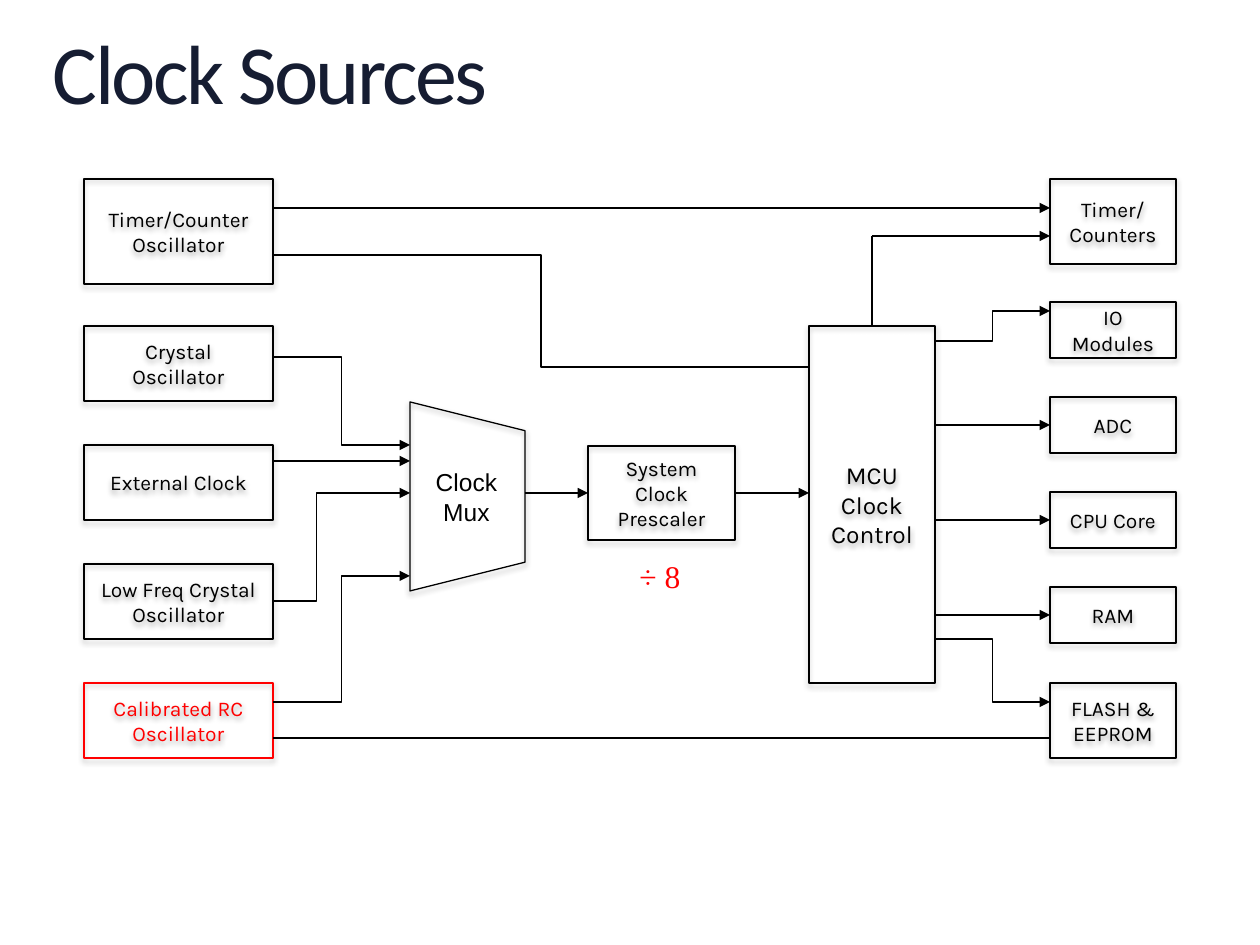
from lxml import etree
from pptx import Presentation
from pptx.dml.color import RGBColor
from pptx.enum.shapes import MSO_CONNECTOR as LINK, MSO_SHAPE as SHAPE
from pptx.enum.text import MSO_ANCHOR as ANCHOR, PP_ALIGN as ALIGN
from pptx.oxml.ns import qn
from pptx.util import Inches, Pt

PX = 7257  # EMU per pixel, 126 pixels to the inch
BLACK, RED, NAVY = "000000", "FF0000", "161D32"


def write(frame, text, size=12, font="Karla", color=BLACK, align=ALIGN.CENTER,
          anchor=ANCHOR.MIDDLE, wrap=True):
    frame.word_wrap = wrap
    frame.vertical_anchor = anchor
    for i, line in enumerate(text.split("\n")):
        para = frame.add_paragraph() if i else frame.paragraphs[0]
        para.alignment = align
        span = para.add_run()
        span.text = line
        span.font.size = Pt(size)
        span.font.name = font
        span.font.color.rgb = RGBColor.from_string(color)


def connect(x1, y1, x2, y2, arrow=True, bend=None, begin=None, end=None):
    """Draw a straight line, or an elbow when bend (percent of width) is given."""
    kind = LINK.STRAIGHT if bend is None else LINK.ELBOW
    wire = page.shapes.add_connector(kind, x1 * PX, y1 * PX, x2 * PX, y2 * PX)
    if begin:
        wire.begin_connect(*begin)
    if end:
        wire.end_connect(*end)
    wire.line.color.rgb = RGBColor.from_string(BLACK)
    wire.line.width = Pt(0.75)
    props = wire._element.spPr
    if arrow:
        etree.SubElement(props.find(qn("a:ln")), qn("a:tailEnd"), type="triangle")
    if bend is not None:
        guides = props.find(qn("a:prstGeom")).get_or_add_avLst()
        etree.SubElement(guides, qn("a:gd"), name="adj1", fmla=f"val {bend * 1000}")
    etree.SubElement(props, qn("a:effectLst"))


deck = Presentation()
deck.slide_width, deck.slide_height = Inches(10), Inches(7.5)
page = deck.slides.add_slide(deck.slide_layouts[5])

# Title
title = page.shapes.title
title.left, title.top, title.width, title.height = 53 * PX, 31 * PX, 1155 * PX, 92 * PX
frame = title.text_frame
frame.margin_left = frame.margin_right = frame.margin_top = frame.margin_bottom = 0
write(frame, "Clock Sources", size=48, font="Calibri", color=NAVY, align=ALIGN.LEFT)
heading = frame.paragraphs[0]
heading.line_spacing = 0.9
heading.runs[0].font._element.set("spc", "-150")

# Blocks: text, left, top, width, height, text size, colour
blocks = [
    ("Timer/Counter\nOscillator", 84, 179, 189, 105, 12, BLACK),
    ("System Clock Prescaler", 588, 446, 147, 94, 12, BLACK),
    ("MCU\nClock\nControl", 809, 326, 126, 357, 14, BLACK),
    ("Timer/\nCounters", 1050, 179, 126, 85, 12, BLACK),
    ("FLASH & EEPROM", 1050, 683, 126, 75, 12, BLACK),
]
sources = ["Crystal\nOscillator", "External Clock", "Low Freq Crystal Oscillator",
           "Calibrated RC Oscillator"]
for i, name in enumerate(sources):
    color = RED if name.startswith("Calibrated") else BLACK
    blocks.append((name, 84, 326 + 119 * i, 189, 75, 12, color))
modules = ["IO Modules", "ADC", "CPU Core", "RAM"]
for i, name in enumerate(modules):
    blocks.append((name, 1050, 302 + 95 * i, 126, 56, 12, BLACK))
blocks.append(("Mux", 373, 439, 189, 115, 14, BLACK))

shapes = {}
for name, left, top, width, height, size, color in blocks:
    kind = SHAPE.TRAPEZOID if name == "Mux" else SHAPE.RECTANGLE
    box = page.shapes.add_shape(kind, left * PX, top * PX, width * PX, height * PX)
    box.fill.background()
    box.line.color.rgb = RGBColor.from_string(color)
    box.line.width = Pt(0.75)
    # Soft shadow below the block
    box.shadow.inherit = False
    effects = box._element.spPr.find(qn("a:effectLst"))
    shadow = etree.SubElement(effects, qn("a:outerShdw"), blurRad="40000", dist="23000",
                              dir="5400000", rotWithShape="0")
    shade = etree.SubElement(shadow, qn("a:srgbClr"), val=BLACK)
    etree.SubElement(shade, qn("a:alpha"), val="35000")
    if name == "Mux":
        box.rotation = 90
    else:
        write(box.text_frame, name, size=size, color=color)
    shapes[name] = box

# Upright label on the turned mux, and the prescaler ratio
label = page.shapes.add_textbox(423 * PX, 461 * PX, 87 * PX, 72 * PX)
write(label.text_frame, "Clock\nMux", size=14, font="Arial", anchor=ANCHOR.TOP, wrap=False)
ratio = page.shapes.add_textbox(627 * PX, 551 * PX, 67 * PX, 50 * PX)
write(ratio.text_frame, "÷ 8", size=18, font="Times New Roman", color=RED,
      align=ALIGN.LEFT, anchor=ANCHOR.TOP, wrap=False)

# Sources into the mux
connect(273, 357, 410, 445, bend=50)
connect(273, 461, 410, 461)
connect(273, 601, 410, 493, bend=32)
connect(273, 702, 410, 576, bend=50)

# Mux through the prescaler to the clock control
prescaler, control = shapes["System Clock Prescaler"], shapes["MCU\nClock\nControl"]
connect(525, 493, 588, 493, end=(prescaler, 1))
connect(735, 493, 809, 493, begin=(prescaler, 3))

# Sources that bypass the mux
connect(273, 208, 1050, 208)
connect(273, 255, 809, 367, arrow=False, bend=50)
connect(273, 738, 1050, 738, arrow=False)

# Clock control to the modules
connect(872, 326, 872, 236, arrow=False, begin=(control, 0))
connect(872, 236, 1050, 236)
connect(935, 341, 1050, 311, bend=50)
for i, name in enumerate(modules[1:]):
    y = 425 + 95 * i
    connect(935, y, 1050, y, end=(shapes[name], 1))
connect(935, 639, 1050, 702, bend=50)

deck.save("out.pptx")
